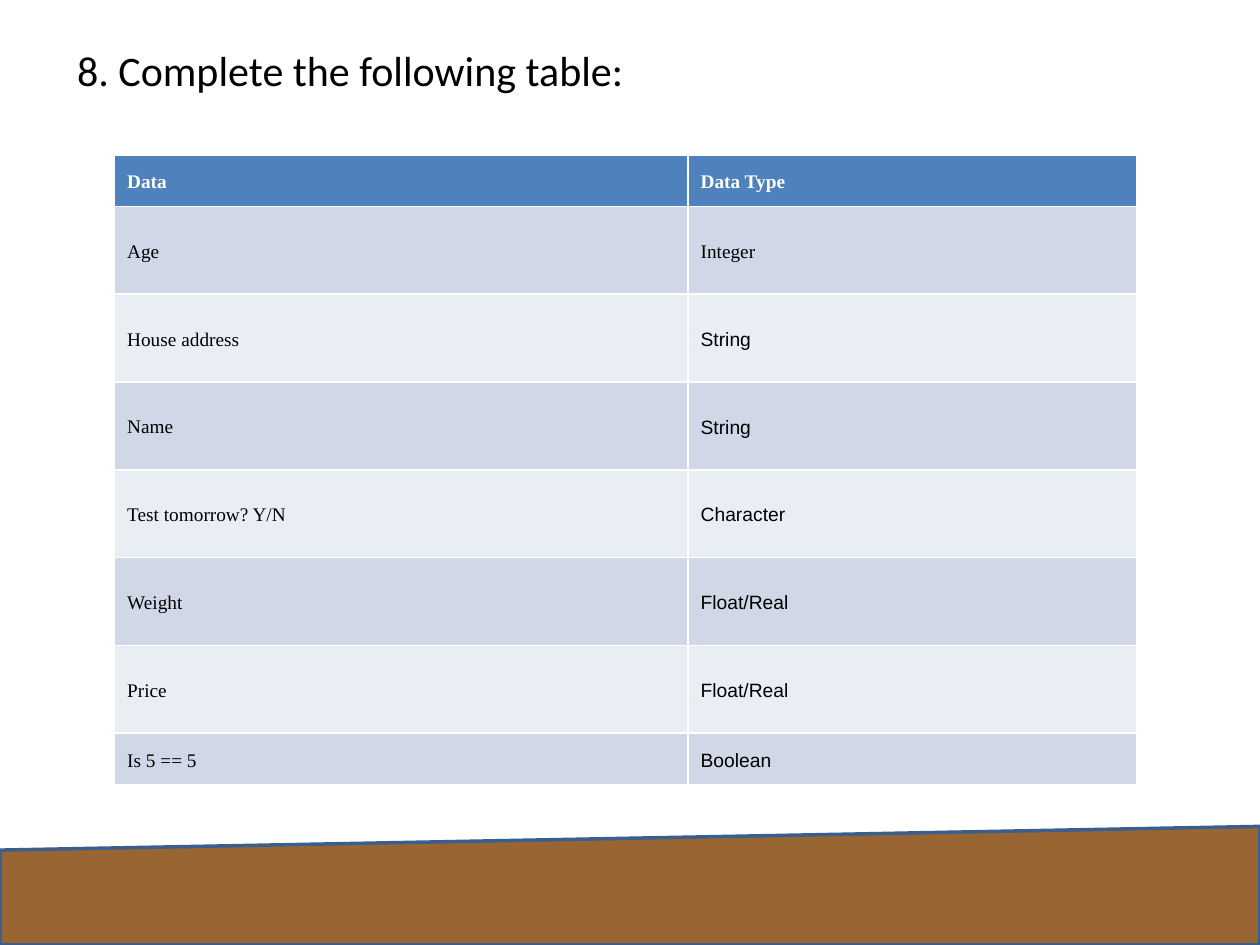
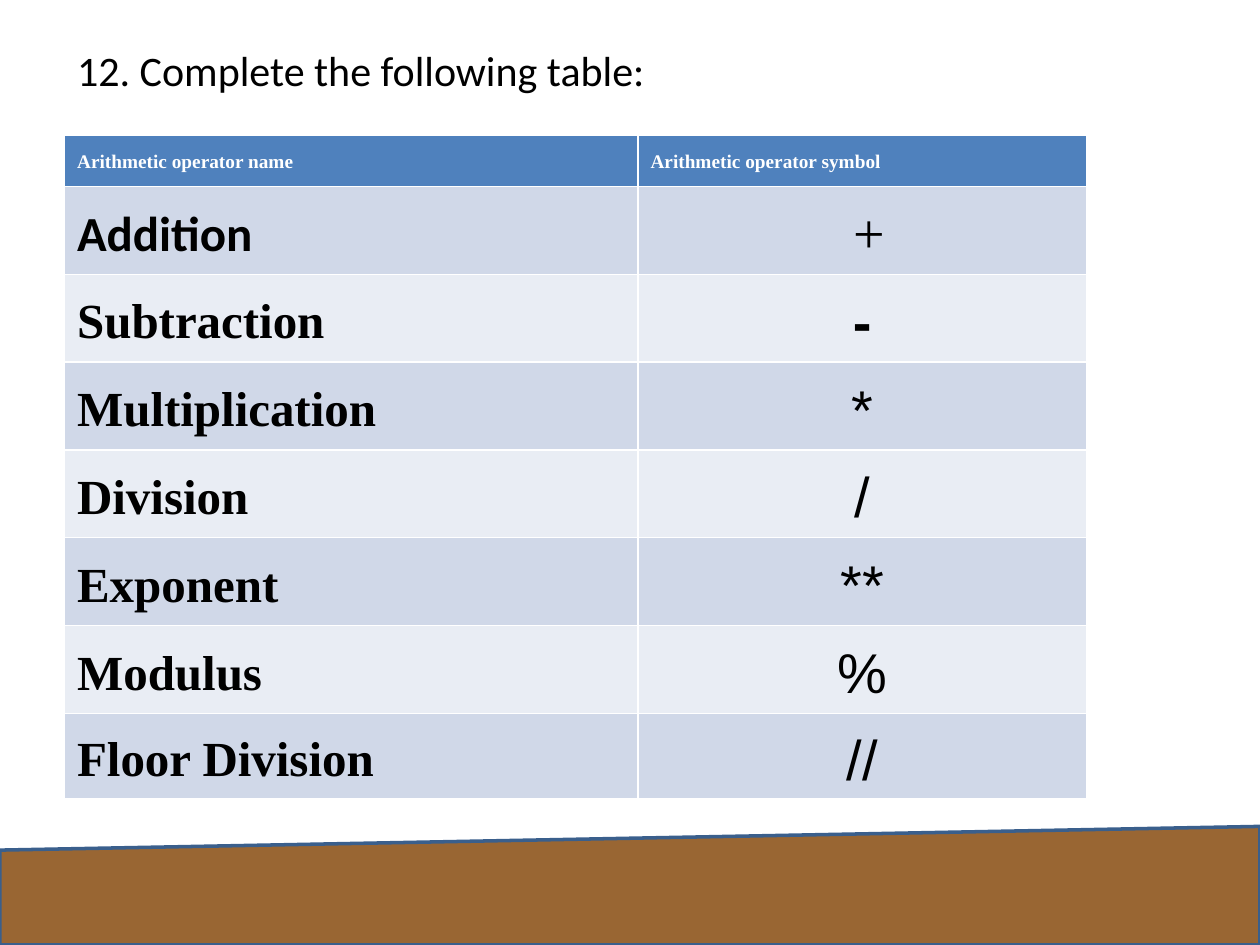
"""Builds two worksheet slides, each with a completed two-column table."""
from pptx import Presentation
from pptx.dml.color import RGBColor
from pptx.enum.shapes import MSO_SHAPE
from pptx.enum.text import MSO_ANCHOR, MSO_AUTO_SIZE, PP_ALIGN
from pptx.util import Cm, Pt

BLACK = RGBColor(0x00, 0x00, 0x00)
WHITE = RGBColor(0xFF, 0xFF, 0xFF)
BROWN = RGBColor(0x99, 0x66, 0x33)
BAND_EDGE = RGBColor(0x3A, 0x5F, 0x8C)
HEADER_BLUE = RGBColor(0x4F, 0x81, 0xBD)
ROW_TINTS = (RGBColor(0xE9, 0xED, 0xF4), RGBColor(0xD0, 0xD8, 0xE8))
SERIF, SANS, HEADING = "Times New Roman", "Arial", "Calibri"
COLUMN_WIDTHS = (11.56, 9.04)
HEADER_HEIGHT, ROW_HEIGHT = 1.04, 1.77

EXERCISES = [
    {
        "question": "8. Complete the following table:",
        "left": 2.31, "top": 3.12, "last_height": 1.04,
        "sizes": (11, 11), "answer_align": PP_ALIGN.LEFT,
        "bold_names": False, "first_name_font": SERIF,
        "rows": [
            ("Data", "Data Type"),
            ("Age", "Integer"),
            ("House address", "String"),
            ("Name", "String"),
            ("Test tomorrow? Y/N", "Character"),
            ("Weight", "Float/Real"),
            ("Price", "Float/Real"),
            ("Is 5 == 5", "Boolean"),
        ],
    },
    {
        "question": "12. Complete the following table:",
        "left": 1.3, "top": 2.72, "last_height": 1.73,
        "sizes": (28, 32), "answer_align": PP_ALIGN.CENTER,
        "bold_names": True, "first_name_font": HEADING,
        "rows": [
            ("Arithmetic operator name", "Arithmetic operator symbol"),
            ("Addition", " +"),
            ("Subtraction", "-"),
            ("Multiplication", "*"),
            ("Division", "/"),
            ("Exponent", "**"),
            ("Modulus", "%"),
            ("Floor Division", "//"),
        ],
    },
]


def style_text(paragraph, font_name, size, color, bold=False):
    for run in paragraph.runs:
        run.font.name = font_name
        run.font.size = Pt(size)
        run.font.color.rgb = color
        run.font.bold = bold


presentation = Presentation()
presentation.slide_width = Cm(25.4)
presentation.slide_height = Cm(19.05)

for exercise in EXERCISES:
    slide = presentation.slides.add_slide(presentation.slide_layouts[5])

    ground = slide.shapes.add_shape(
        MSO_SHAPE.FLOWCHART_MANUAL_INPUT, Cm(0), Cm(16.66), Cm(25.4), Cm(2.39))
    ground.shadow.inherit = False
    ground.fill.solid()
    ground.fill.fore_color.rgb = BROWN
    ground.line.color.rgb = BAND_EDGE
    ground.line.width = Pt(2)

    question = slide.shapes.title
    question.left, question.top = Cm(1.3), Cm(0.76)
    question.width, question.height = Cm(22.86), Cm(1.4)
    question.text_frame.text = exercise["question"]
    question.text_frame.auto_size = MSO_AUTO_SIZE.NONE
    question.text_frame.vertical_anchor = MSO_ANCHOR.TOP
    question.text_frame.paragraphs[0].alignment = PP_ALIGN.LEFT
    style_text(question.text_frame.paragraphs[0], HEADING, 24, BLACK)

    rows = exercise["rows"]
    last = len(rows) - 1
    heights = [HEADER_HEIGHT] + [ROW_HEIGHT] * (last - 1) + [exercise["last_height"]]
    answers = slide.shapes.add_table(
        len(rows), len(COLUMN_WIDTHS), Cm(exercise["left"]), Cm(exercise["top"]),
        Cm(sum(COLUMN_WIDTHS)), Cm(sum(heights))).table
    for column, width in zip(answers.columns, COLUMN_WIDTHS):
        column.width = Cm(width)

    for r, row in enumerate(rows):
        answers.rows[r].height = Cm(heights[r])
        for c, entry in enumerate(row):
            cell = answers.cell(r, c)
            cell.vertical_anchor = MSO_ANCHOR.MIDDLE
            cell.fill.solid()
            cell.fill.fore_color.rgb = ROW_TINTS[r % 2] if r else HEADER_BLUE
            paragraph = cell.text_frame.paragraphs[0]
            paragraph.text = entry
            paragraph.line_spacing = 1.15
            if r == 0:
                style_text(paragraph, SERIF, 11, WHITE, True)
            elif c == 0:
                name_font = exercise["first_name_font"] if r == 1 else SERIF
                style_text(paragraph, name_font, exercise["sizes"][0], BLACK,
                           exercise["bold_names"])
            else:
                paragraph.alignment = exercise["answer_align"]
                answer_font = SERIF if r == 1 else SANS
                style_text(paragraph, answer_font, exercise["sizes"][1], BLACK,
                           entry == "-")

presentation.save("out.pptx")
